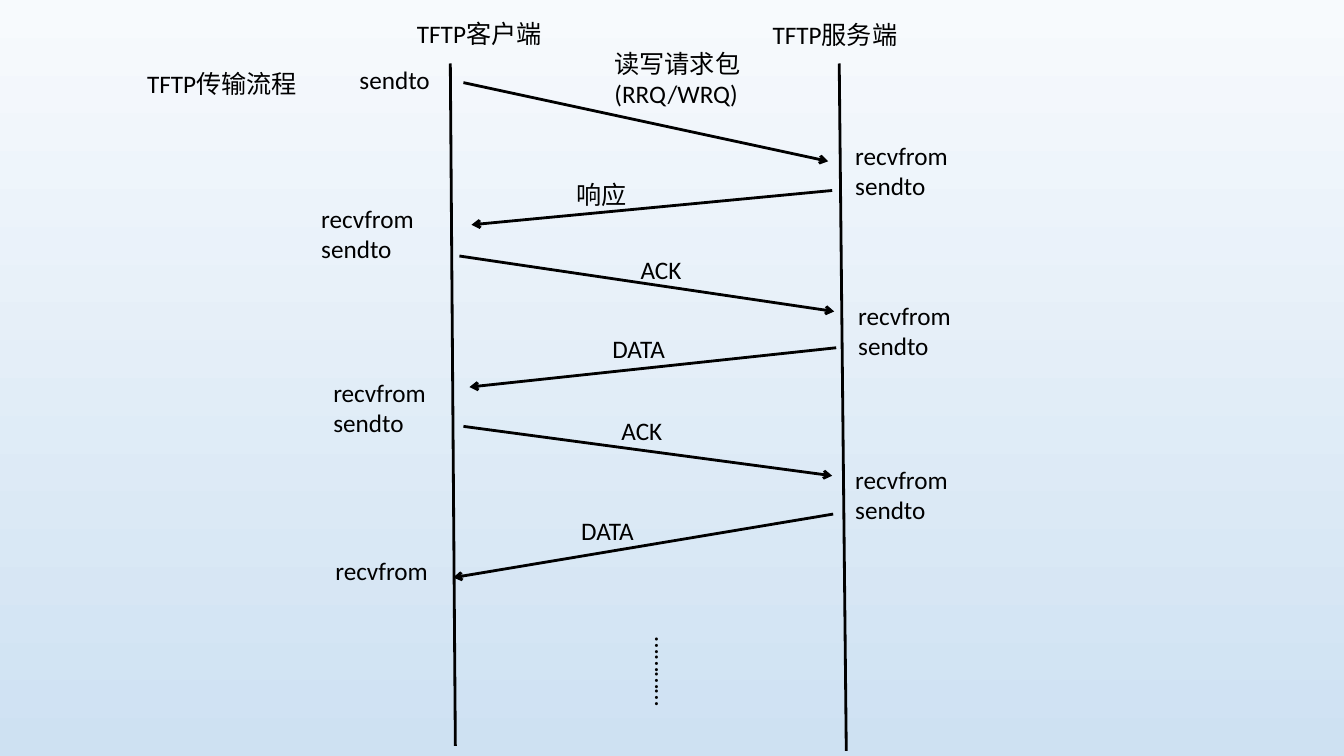
from collections import namedtuple

from lxml import etree
from pptx import Presentation
from pptx.dml.color import RGBColor
from pptx.enum.shapes import MSO_CONNECTOR
from pptx.enum.text import MSO_ANCHOR, MSO_AUTO_SIZE, PP_ALIGN
from pptx.oxml.ns import qn
from pptx.util import Inches, Pt

STRAIGHT = MSO_CONNECTOR.STRAIGHT
TOP = MSO_ANCHOR.TOP
NO_AUTOFIT = MSO_AUTO_SIZE.NONE
LEFT, CENTER = PP_ALIGN.LEFT, PP_ALIGN.CENTER

FONT = "Calibri"
INK = "000000"
BACKGROUND = ("F7FAFD", "CEE1F2")
TITLE_ONLY = 5
LINE_HEIGHT = 0.3
PADDING = 0.1
CALL_WIDTH = 1.12

Box = namedtuple("Box", "left top width height")
Message = namedtuple("Message", "start end label label_at label_width")

MESSAGES = [
    Message((0.1, 0.22), (3.72, 1), "读写请求包(RRQ/WRQ)", (1.5, -0.17), 1.72),
    Message((3.76, 1.29), (0.18, 1.63), "响应", (1.12, 1.13), 0.7),
    Message((0.06, 1.94), (3.78, 2.49), "ACK", (1.76, 1.87), 0.61),
    Message((3.8, 2.85), (0.16, 3.24), "DATA", (1.46, 2.66), 0.76),
    Message((0.1, 3.63), (3.76, 4.12), "ACK", (1.57, 3.47), 0.61),
    Message((3.77, 4.5), (0, 5.13), "DATA", (1.15, 4.46), 0.76),
]

CLIENT_CALLS = [
    (-1.03, -0.01, 0.9, "sendto"),
    (-1.41, 1.37, CALL_WIDTH, "recvfrom\nsendto"),
    (-1.29, 3.09, CALL_WIDTH, "recvfrom\nsendto"),
    (-1.27, 4.86, CALL_WIDTH, "recvfrom"),
]

SERVER_CALLS = [
    (3.89, 0.74, CALL_WIDTH, "recvfrom\nsendto"),
    (3.92, 2.33, CALL_WIDTH, "recvfrom\nsendto"),
    (3.89, 3.96, CALL_WIDTH, "recvfrom\nsendto"),
]


def color(hex_value):
    return RGBColor.from_string(hex_value)


def write(frame, text, align=LEFT, wrap=False, size=18):
    frame.text = text
    frame.word_wrap = wrap
    frame.auto_size = NO_AUTOFIT
    frame.vertical_anchor = TOP
    for para in frame.paragraphs:
        para.alignment = align
        for span in para.runs:
            span.font.size = Pt(size)
            span.font.name = FONT
            span.font.color.rgb = color(INK)


def add_text(shapes, left, top, width, text, lines=1, **text_format):
    height = PADDING + lines * LINE_HEIGHT
    box = shapes.add_textbox(*map(Inches, (left, top, width, height)))
    write(box.text_frame, text, **text_format)
    return box


def add_line(shapes, start, end, arrow=False):
    line = shapes.add_connector(STRAIGHT, *map(Inches, (*start, *end)))
    line.line.color.rgb = color(INK)
    line.line.width = Pt(0)
    if arrow:
        etree.SubElement(line.line._get_or_add_ln(), qn("a:tailEnd"), type="arrow")
    etree.SubElement(line._element.spPr, qn("a:effectLst"))


def paint_background(page):
    fill = page.background.fill
    fill.gradient()
    fill.gradient_angle = 270
    for stop, hex_value in zip(fill.gradient_stops, BACKGROUND):
        stop.color.rgb = color(hex_value)


def place_title(page, box):
    title = page.shapes.title
    title.left, title.top, title.width, title.height = map(Inches, box)
    write(title.text_frame, "TFTP传输流程")


def draw_lifeline(page, box, heading, heading_at):
    group = page.shapes.add_group_shape()
    bottom_end = (box.left + box.width, box.top + box.height)
    add_line(group.shapes, (box.left, box.top), bottom_end)
    add_text(group.shapes, box.left + heading_at[0], box.top + heading_at[1], 1.5, heading)


def draw_messages(page, box):
    def place(point):
        return box.left + point[0], box.top + point[1]

    for message in MESSAGES:
        add_line(page.shapes, place(message.start), place(message.end), arrow=True)
    for message in MESSAGES:
        is_request = message is MESSAGES[0]
        add_text(page.shapes, *place(message.label_at), message.label_width, message.label,
                 lines=2 if is_request else 1, wrap=is_request,
                 align=CENTER if message.label == "DATA" else LEFT)
    dots = add_text(page.shapes, *place((1.28, 5.66)), 1.3, "…………", wrap=True)
    dots.rotation = 270


def draw_calls(page, box, calls):
    for left, top, width, text in calls:
        add_text(page.shapes, box.left + left, box.top + top, width, text,
                 lines=len(text.splitlines()))


def build_sequence_slide(deck):
    page = deck.slides.add_slide(deck.slide_layouts[TITLE_ONLY])
    paint_background(page)
    place_title(page, Box(1.36, 0.63, 1.75, 0.4))
    exchange = Box(4.5, 0.6, 3.86, 6.8)
    draw_messages(page, exchange)
    draw_calls(page, exchange, CLIENT_CALLS)
    draw_calls(page, exchange, SERVER_CALLS)
    draw_lifeline(page, Box(4.47, 0.63, 0.05, 6.77), "TFTP客户端", (-0.43, -0.5))
    draw_lifeline(page, Box(8.33, 0.63, 0.07, 6.82), "TFTP服务端", (-0.76, -0.49))


def main():
    deck = Presentation()
    deck.slide_width, deck.slide_height = Inches(13.34), Inches(7.5)
    build_sequence_slide(deck)
    deck.save("out.pptx")


if __name__ == "__main__":
    main()
